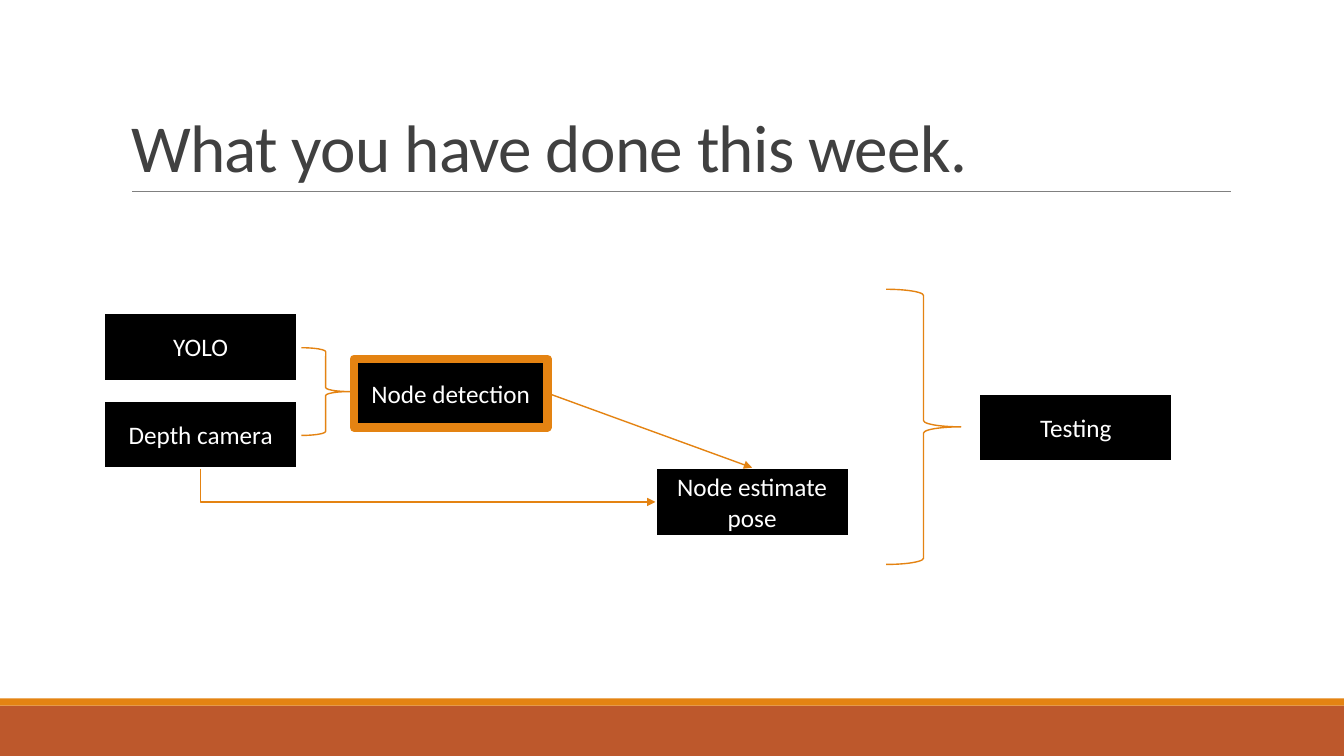
from lxml import etree
from pptx import Presentation
from pptx.dml.color import RGBColor
from pptx.enum.shapes import MSO_CONNECTOR, MSO_SHAPE
from pptx.enum.text import MSO_ANCHOR, MSO_AUTO_SIZE, PP_ALIGN
from pptx.oxml.ns import qn
from pptx.util import Inches, Pt

RECTANGLE = MSO_SHAPE.RECTANGLE
RIGHT_BRACE = MSO_SHAPE.RIGHT_BRACE
STRAIGHT = MSO_CONNECTOR.STRAIGHT
ELBOW = MSO_CONNECTOR.ELBOW
MIDDLE = MSO_ANCHOR.MIDDLE
BOTTOM = MSO_ANCHOR.BOTTOM
CENTER = PP_ALIGN.CENTER
LEFT = PP_ALIGN.LEFT
NO_AUTO_SIZE = MSO_AUTO_SIZE.NONE

BLACK = RGBColor(0x00, 0x00, 0x00)
WHITE = RGBColor(0xFF, 0xFF, 0xFF)
ORANGE = RGBColor(0xE4, 0x83, 0x12)
RUST = RGBColor(0xBD, 0x58, 0x2C)
GRAY = RGBColor(0x80, 0x80, 0x80)
DARK_GRAY = RGBColor(0x40, 0x40, 0x40)

BOX_WIDTH, BOX_HEIGHT = 1.92, 0.68

presentation = Presentation()
presentation.slide_width = Inches(13.33)
presentation.slide_height = Inches(7.5)
slide = presentation.slides.add_slide(presentation.slide_layouts[5])


def write_text(shape, text, size, color, align, anchor):
    frame = shape.text_frame
    frame.word_wrap = True
    frame.auto_size = NO_AUTO_SIZE
    frame.vertical_anchor = anchor
    paragraph = frame.paragraphs[0]
    paragraph.alignment = align
    run = paragraph.add_run()
    run.text = text
    run.font.name = "Calibri"
    run.font.size = Pt(size)
    run.font.color.rgb = color
    return paragraph


def add_block(kind, left, top, width, height, fill=None, line=None, weight=1):
    shape = slide.shapes.add_shape(kind, Inches(left), Inches(top), Inches(width), Inches(height))
    shape.shadow.inherit = False
    if fill is None:
        shape.fill.background()
    else:
        shape.fill.solid()
        shape.fill.fore_color.rgb = fill
    if line is None:
        shape.line.fill.background()
    else:
        shape.line.color.rgb = line
        shape.line.width = Pt(weight)
    return shape


title = slide.shapes.title
title.left, title.top = Inches(1.2), Inches(0.31)
title.width, title.height = Inches(11), Inches(1.59)
title_paragraph = write_text(title, "What you have done this week.", size=48,
                             color=DARK_GRAY, align=LEFT, anchor=BOTTOM)
title_paragraph.line_spacing = 0.85
title_paragraph.runs[0].font._element.set("spc", "-50")

add_block(RECTANGLE, 0, 7, 13.33, 0.5, fill=RUST)
add_block(RECTANGLE, 0, 6.93, 13.33, 0.07, fill=ORANGE)

for text, left, top in [
    ("Depth camera", 1.03, 3.97),
    ("YOLO", 1.03, 3.1),
    ("Node detection", 3.51, 3.56),
    ("Node estimate pose", 6.5, 4.64),
    ("Testing", 9.71, 3.9),
]:
    box = add_block(RECTANGLE, left, top, BOX_WIDTH, BOX_HEIGHT, fill=BLACK, line=WHITE, weight=2)
    write_text(box, text, size=18, color=WHITE, align=CENTER, anchor=MIDDLE)

for kind, start_x, start_y, end_x, end_y, color, weight, has_arrow in [
    (STRAIGHT, 1.31, 1.9, 12.21, 1.9, GRAY, 0.5, False),
    (STRAIGHT, 5.43, 3.9, 7.46, 4.64, ORANGE, 1, True),
    (ELBOW, 4.41, 2.56, 4.08, 7.07, ORANGE, 1, True),
]:
    connector = slide.shapes.add_connector(
        kind, Inches(start_x), Inches(start_y), Inches(end_x), Inches(end_y))
    connector.line.color.rgb = color
    connector.line.width = Pt(weight)
    properties = connector._element.spPr
    if has_arrow:
        etree.SubElement(properties.find(qn("a:ln")), qn("a:tailEnd"), type="triangle")
    if kind == ELBOW:
        properties.find(qn("a:xfrm")).set("rot", "16200000")
        properties.find(qn("a:prstGeom")).set("prst", "bentConnector2")
    etree.SubElement(properties, qn("a:effectLst"))

add_block(RIGHT_BRACE, 8.79, 2.87, 0.74, 2.73, line=ORANGE)
add_block(RECTANGLE, 3.51, 3.56, BOX_WIDTH, BOX_HEIGHT, line=ORANGE, weight=6)
add_block(RIGHT_BRACE, 2.99, 3.45, 0.48, 0.87, line=ORANGE)

presentation.save("out.pptx")
